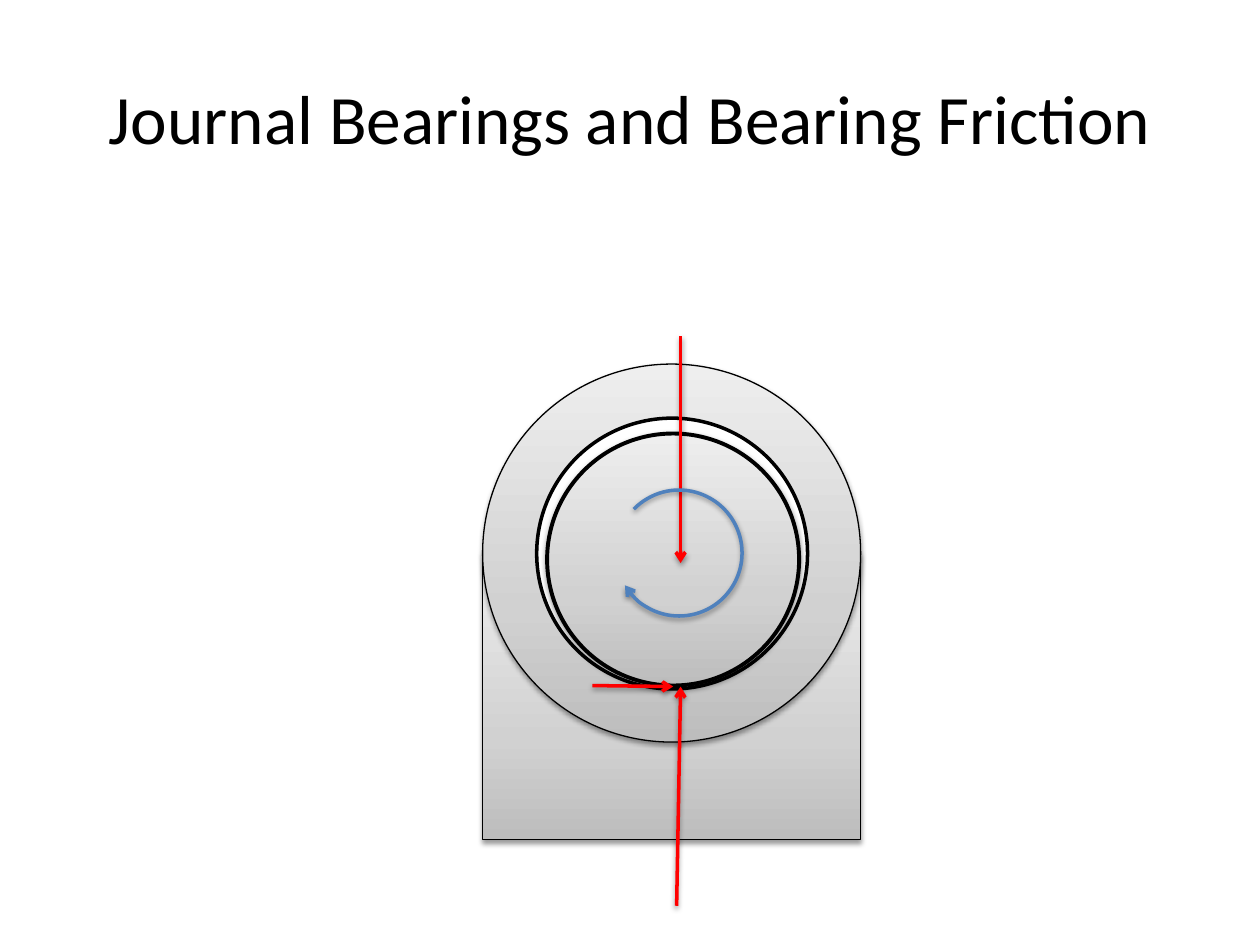
import copy

import lxml.etree
import pptx
import pptx.dml.color
import pptx.enum.shapes
import pptx.enum.text
import pptx.oxml.ns
import pptx.util

Cm = pptx.util.Cm
Pt = pptx.util.Pt
qn = pptx.oxml.ns.qn
SHAPE = pptx.enum.shapes.MSO_SHAPE

METAL = [(0, "BDBDBD"), (0.35, "D1D1D1"), (1, "EEEEEE")]


def rgb(value):
    return pptx.dml.color.RGBColor.from_string(value)


def add_text(s, text, x, y, w, h, size=18, font="Calibri", color="000000"):
    tf = s.shapes.add_textbox(Cm(x), Cm(y), Cm(w), Cm(h)).text_frame
    tf.word_wrap = True
    tf.vertical_anchor = pptx.enum.text.MSO_ANCHOR.MIDDLE
    p = tf.paragraphs[0]
    p.alignment = pptx.enum.text.PP_ALIGN.CENTER
    r = p.add_run()
    r.text = text
    r.font.size = Pt(size)
    r.font.name = font
    r.font.color.rgb = rgb(color)


def set_line(sp, color, width):
    sp.line.color.rgb = rgb(color)
    sp.line.width = Pt(width)


def set_arrow(sp, end):
    """Put an open arrowhead on "headEnd" or "tailEnd" of an already set line."""
    ln = sp._element.spPr.find(qn("a:ln"))
    lxml.etree.SubElement(ln, qn("a:" + end), type="arrow")


def set_shadow(sp):
    """Add a soft shadow straight below; call it after fill and line are set."""
    effects = lxml.etree.SubElement(sp._element.spPr, qn("a:effectLst"))
    shadow = lxml.etree.SubElement(
        effects, qn("a:outerShdw"), blurRad=str(Pt(3.1)), dist=str(Pt(1.6)),
        dir="5400000", rotWithShape="0")
    black = lxml.etree.SubElement(shadow, qn("a:srgbClr"), val="000000")
    lxml.etree.SubElement(black, qn("a:alpha"), val="38000")


def fill_metal(sp):
    sp.fill.gradient()
    sp.fill.gradient_angle = 90
    gs_list = sp._element.spPr.find(qn("a:gradFill")).find(qn("a:gsLst"))
    gs_list.append(copy.deepcopy(gs_list[-1]))
    for stop, (position, color) in zip(sp.fill.gradient_stops, METAL):
        stop.position = position
        stop.color.rgb = rgb(color)


def add_metal(s, kind, x, y, w, h, width):
    sp = s.shapes.add_shape(kind, Cm(x), Cm(y), Cm(w), Cm(h))
    fill_metal(sp)
    set_line(sp, "000000", width)
    set_shadow(sp)


def add_bore(s, x, y, size):
    sp = s.shapes.add_shape(SHAPE.OVAL, Cm(x), Cm(y), Cm(size), Cm(size))
    sp.shadow.inherit = False
    sp.fill.solid()
    sp.fill.fore_color.rgb = rgb("FFFFFF")
    set_line(sp, "000000", 2)


def add_force(s, x1, y1, x2, y2):
    sp = s.shapes.add_connector(
        pptx.enum.shapes.MSO_CONNECTOR.STRAIGHT, Cm(x1), Cm(y1), Cm(x2), Cm(y2))
    set_line(sp, "FF0000", 2)
    set_arrow(sp, "tailEnd")
    set_shadow(sp)


def add_rotation(s, x, y, size):
    sp = s.shapes.add_shape(SHAPE.ARC, Cm(x), Cm(y), Cm(size), Cm(size))
    sp.adjustments[0] = 18.49
    sp.adjustments[1] = 189.51
    sp._element.spPr.find(qn("a:xfrm")).set("flipH", "1")
    sp.fill.background()
    set_line(sp, "4F81BD", 2)
    set_arrow(sp, "headEnd")
    set_shadow(sp)


def add_bearing(s, x, y, size):
    """Draw the bearing; x, y, size give the square around its outer ring."""
    add_metal(s, SHAPE.RECTANGLE, x, y + size / 2, size, 5.77, 0.75)
    add_metal(s, SHAPE.OVAL, x, y, size, size, 0.75)
    add_bore(s, x + 1.09, y + 1.09, 5.46)
    add_metal(s, SHAPE.OVAL, x + 1.3, y + 1.4, 5.08, 5.08, 2.25)
    forces = [
        (3.99, -0.56, 3.99, 4.01),   # load on the journal
        (3.91, 10.92, 3.99, 6.5),    # normal reaction
        (2.21, 6.48, 3.84, 6.5),     # friction
    ]
    for x1, y1, x2, y2 in forces:
        add_force(s, x + x1, y + y1, x + x2, y + y2)
    add_rotation(s, x + 2.69, y + 2.54, 2.54)


def main():
    prs = pptx.Presentation()
    prs.slide_width = Cm(25.4)
    prs.slide_height = Cm(19.05)
    s = prs.slides.add_slide(prs.slide_layouts[6])
    add_text(s, "Journal Bearings and Bearing Friction",
             1.27, 0.76, 22.86, 3.18, size=39.6)
    add_bearing(s, 9.73, 7.34, 7.62)
    prs.save("out.pptx")


if __name__ == "__main__":
    main()
